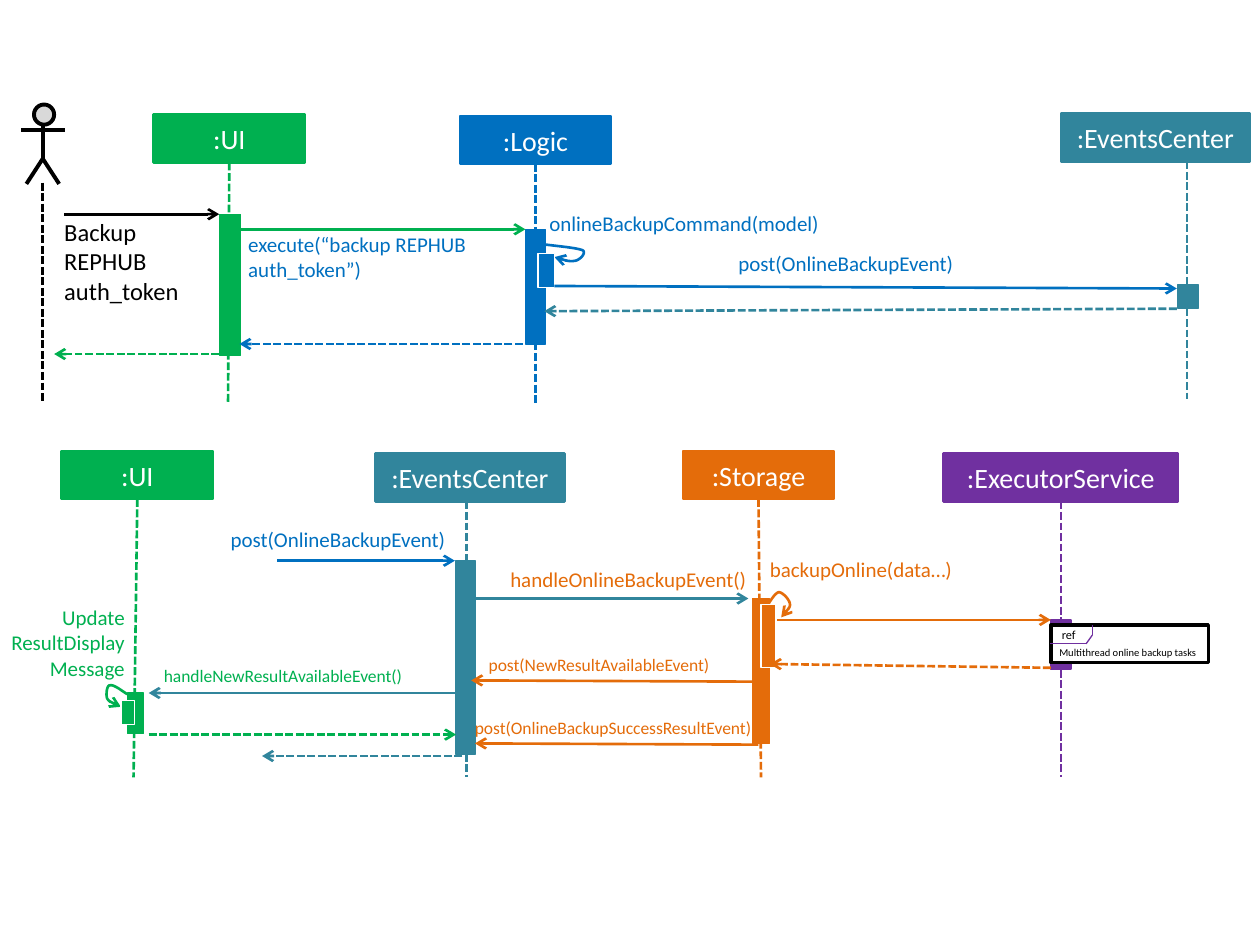
from lxml import etree
from pptx import Presentation
from pptx.dml.color import RGBColor
from pptx.enum.dml import MSO_LINE
from pptx.enum.shapes import MSO_CONNECTOR, MSO_SHAPE
from pptx.enum.text import MSO_ANCHOR, MSO_AUTO_SIZE, PP_ALIGN
from pptx.oxml.ns import qn
from pptx.util import Inches, Pt

STRAIGHT = MSO_CONNECTOR.STRAIGHT
RECTANGLE = MSO_SHAPE.RECTANGLE
HEAD = MSO_SHAPE.FLOWCHART_CONNECTOR
DASH = MSO_LINE.SQUARE_DOT
MIDDLE = MSO_ANCHOR.MIDDLE
GROW = MSO_AUTO_SIZE.SHAPE_TO_FIT_TEXT
LEFT, CENTER, RIGHT = PP_ALIGN.LEFT, PP_ALIGN.CENTER, PP_ALIGN.RIGHT

GREEN, BLUE, TEAL = "00B050", "0070C0", "31859C"
ORANGE, PURPLE = "E46C0A", "7030A0"
BLACK, WHITE, GRAY = "000000", "FFFFFF", "D9D9D9"
HEADER_HEIGHT = 0.38
CURVE_STEPS = 10


def style(item, line, width=1.5, fill=None, dashed=False, arrow=False):
    """Set outline and fill; a connector has no fill and needs an empty effect list."""
    item.line.color.rgb = RGBColor.from_string(line)
    item.line.width = Pt(width)
    if dashed:
        item.line.dash_style = DASH
    if arrow:
        outline = item.line._get_or_add_ln()
        etree.SubElement(outline, qn("a:tailEnd")).set("type", "arrow")
    if not hasattr(item, "fill"):
        etree.SubElement(item._element.spPr, qn("a:effectLst"))
        return
    item.shadow.inherit = False
    if fill:
        item.fill.solid()
        item.fill.fore_color.rgb = RGBColor.from_string(fill)
    else:
        item.fill.background()


def write(frame, text, size=12, color=BLACK, align=LEFT):
    paragraph = frame.paragraphs[0]
    paragraph.alignment = align
    run = paragraph.add_run()
    run.text = text
    run.font.name = "Calibri"
    run.font.size = Pt(size)
    run.font.color.rgb = RGBColor.from_string(color)


prs = Presentation()
prs.slide_width, prs.slide_height = Inches(10), Inches(7.5)
shapes = prs.slides.add_slide(prs.slide_layouts[6]).shapes

# Actor
actor_head = shapes.add_shape(HEAD, Inches(0.27), Inches(0.83), Inches(0.16), Inches(0.16))
style(actor_head, BLACK, 2.25, fill=GRAY)
legs_builder = shapes.build_freeform(Inches(0.21), Inches(1.46))
legs_builder.add_line_segments(
    [(Inches(0.34), Inches(1.26)), (Inches(0.47), Inches(1.46))], close=False)
style(legs_builder.convert_to_shape(), BLACK, 2.25)
for x1, y1, x2, y2, width, dashed in [
    (0.34, 0.99, 0.34, 1.27, 2.25, False),
    (0.17, 1.03, 0.52, 1.03, 2.25, False),
    (0.34, 1.45, 0.34, 3.2, 1.5, True),
]:
    part = shapes.add_connector(STRAIGHT, Inches(x1), Inches(y1), Inches(x2), Inches(y2))
    style(part, BLACK, width, dashed=dashed)

# Participants: header (left, top, width), lifeline (x, end x, end y), bar (left, top, size)
participants = [
    (":UI", GREEN, (1.22, 0.91, 1.2), (1.81, 1.81, 3.2), (1.74, 1.7, 0.17, 1.12)),
    (":Logic", BLUE, (3.65, 0.92, 1.2), (4.25, 4.25, 3.2), (4.17, 1.82, 0.16, 0.91)),
    (":EventsCenter", TEAL, (8.42, 0.9, 1.5), (9.42, 9.42, 3.17), (9.35, 2.26, 0.16, 0.19)),
    (":UI", GREEN, (0.49, 3.58, 1.2), (1.09, 1.06, 6.17), (1.01, 5.5, 0.13, 0.32)),
    (":EventsCenter", TEAL, (2.98, 3.6, 1.5), (3.7, 3.7, 6.17), (3.62, 4.45, 0.15, 1.54)),
    (":Storage", ORANGE, (5.42, 3.58, 1.2), (6.01, 6.04, 6.17), (5.97, 4.75, 0.14, 1.15)),
    (":ExecutorService", PURPLE, (7.49, 3.6, 1.86), (8.42, 8.42, 6.17), (8.34, 4.92, 0.16, 0.39)),
]
for name, color, (left, top, width), (x, end_x, end_y), bar in participants:
    header = shapes.add_shape(
        RECTANGLE, Inches(left), Inches(top), Inches(width), Inches(HEADER_HEIGHT))
    style(header, color, fill=color)
    header.text_frame.vertical_anchor = MIDDLE
    write(header.text_frame, name, size=16, color=WHITE, align=CENTER)
    lifeline = shapes.add_connector(
        STRAIGHT, Inches(x), Inches(top + HEADER_HEIGHT), Inches(end_x), Inches(end_y))
    if abs(x - left - width / 2) < 0.02:
        lifeline.begin_connect(header, 2)
    style(lifeline, color, dashed=True)
    activation = shapes.add_shape(RECTANGLE, *map(Inches, bar))
    style(activation, color, 0.75, fill=color)

# Self calls: a start point and two Bezier segments, then the nested bar
self_calls = [
    (BLUE, (4.32, 1.94),
     [[(4.4, 1.95), (4.61, 1.97), (4.63, 1.99)], [(4.65, 2.02), (4.59, 2.07), (4.56, 2.07)],
      [(4.52, 2.08), (4.46, 2.06), (4.4, 2.04)]],
     (4.27, 2.01, 0.13, 0.27)),
    (ORANGE, (6.08, 4.83),
     [[(6.11, 4.77), (6.15, 4.71), (6.18, 4.7)], [(6.21, 4.7), (6.27, 4.76), (6.27, 4.8)],
      [(6.27, 4.83), (6.23, 4.87), (6.2, 4.9)]],
     (6.04, 4.8, 0.12, 0.5)),
    (GREEN, (1.01, 5.51),
     [[(0.95, 5.47), (0.9, 5.43), (0.87, 5.44)], [(0.85, 5.44), (0.84, 5.51), (0.85, 5.54)],
      [(0.86, 5.57), (0.91, 5.59), (0.96, 5.61)]],
     (0.96, 5.56, 0.11, 0.19)),
]
for color, start, segments, nested_bar in self_calls:
    loop_points = []
    anchor = start
    for near, far, end in segments:
        for step in range(1, CURVE_STEPS + 1):
            t = step / CURVE_STEPS
            weights = ((1 - t) ** 3, 3 * t * (1 - t) ** 2, 3 * t * t * (1 - t), t ** 3)
            loop_points.append(tuple(
                Inches(sum(w * p[axis] for w, p in zip(weights, (anchor, near, far, end))))
                for axis in (0, 1)))
        anchor = end
    loop_builder = shapes.build_freeform(Inches(start[0]), Inches(start[1]))
    loop_builder.add_line_segments(loop_points, close=False)
    style(loop_builder.convert_to_shape(), color, arrow=True)
    nested = shapes.add_shape(RECTANGLE, *map(Inches, nested_bar))
    style(nested, WHITE, 0.75, fill=color)

# Messages run from sender to receiver; returns are dashed
messages = [
    (0.51, 1.7, 1.74, 1.7, BLACK, False),
    (1.9, 1.82, 4.17, 1.82, GREEN, False),
    (4.4, 2.27, 9.34, 2.29, BLUE, False),
    (9.34, 2.45, 4.32, 2.47, TEAL, True),
    (4.15, 2.73, 1.9, 2.73, BLUE, True),
    (1.74, 2.81, 0.43, 2.81, GREEN, True),
    (2.2, 4.45, 3.61, 4.45, BLUE, False),
    (3.78, 4.75, 5.94, 4.75, TEAL, False),
    (6.17, 4.92, 8.34, 4.92, ORANGE, False),
    (8.34, 5.3, 6.11, 5.27, ORANGE, True),
    (5.98, 5.41, 3.74, 5.4, ORANGE, False),
    (3.62, 5.5, 1.18, 5.5, TEAL, False),
    (1.18, 5.83, 3.62, 5.83, GREEN, True),
    (6.02, 5.91, 3.77, 5.9, ORANGE, False),
    (3.67, 6, 2.08, 6, TEAL, True),
]
for x1, y1, x2, y2, color, dashed in messages:
    message = shapes.add_connector(STRAIGHT, Inches(x1), Inches(y1), Inches(x2), Inches(y2))
    style(message, color, dashed=dashed, arrow=True)

# Reference frame with its cut-corner tab
ref_frame = shapes.add_shape(RECTANGLE, Inches(8.34), Inches(4.96), Inches(1.25), Inches(0.3))
style(ref_frame, BLACK, 2, fill=WHITE)
tab_corners = [(8.67, 4.96), (8.67, 5.04), (8.62, 5.11), (8.33, 5.11)]
for (x1, y1), (x2, y2) in zip(tab_corners, tab_corners[1:]):
    tab_edge = shapes.add_connector(STRAIGHT, Inches(x1), Inches(y1), Inches(x2), Inches(y2))
    style(tab_edge, PURPLE, 0.75)

# Labels: text, box, size, colour, alignment, whether the box is padded and unwrapped
labels = [
    ("Backup REPHUB auth_token", (0.51, 1.72, 0.94, 0.71), 14, BLACK, LEFT, False),
    ("execute(“backup REPHUB auth_token”)", (1.97, 1.84, 2.22, 0.4), 12, BLUE, LEFT, False),
    ("onlineBackupCommand(model)", (4.36, 1.67, 2.44, 0.2), 12, BLUE, LEFT, False),
    ("post(OnlineBackupEvent)", (5.86, 1.99, 1.79, 0.2), 12, BLUE, LEFT, False),
    ("post(OnlineBackupEvent)", (1.83, 4.18, 2.97, 0.2), 12, BLUE, LEFT, False),
    ("handleOnlineBackupEvent()", (4.05, 4.5, 1.93, 0.2), 12, ORANGE, LEFT, False),
    ("backupOnline(data…)", (6.11, 4.42, 1.61, 0.2), 12, ORANGE, LEFT, False),
    ("Update ResultDisplay Message", (0, 4.8, 0.99, 0.61), 12, GREEN, RIGHT, False),
    ("handleNewResultAvailableEvent()", (1.3, 5.28, 2.91, 0.17), 10, GREEN, LEFT, False),
    ("post(NewResultAvailableEvent)", (3.78, 5.14, 1.99, 0.27), 10, ORANGE, LEFT, True),
    ("post(OnlineBackupSuccessResultEvent)", (3.67, 5.64, 2.43, 0.27), 10, ORANGE, LEFT, True),
    ("ref", (8.33, 4.93, 0.33, 0.22), 7, BLACK, LEFT, True),
    ("Multithread online backup tasks", (8.3, 5.08, 1.3, 0.2), 6, BLACK, CENTER, True),
]
for text, box, size, color, align, padded in labels:
    frame = shapes.add_textbox(*map(Inches, box)).text_frame
    frame.word_wrap = not padded
    frame.auto_size = GROW
    if not padded:
        frame.margin_left = frame.margin_right = frame.margin_top = frame.margin_bottom = 0
    write(frame, text, size=size, color=color, align=align)

prs.save("out.pptx")
